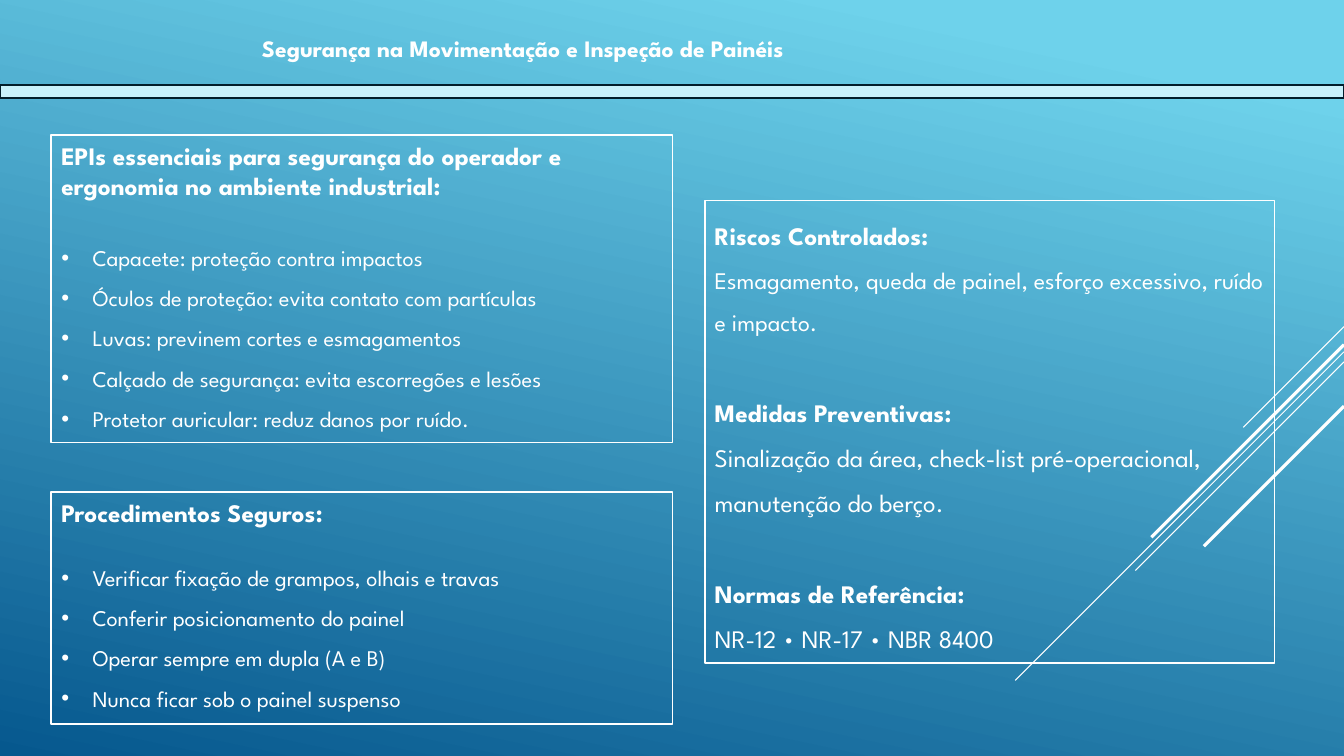
from lxml import etree
from pptx import Presentation, util as u
from pptx.dml.color import RGBColor
from pptx.enum import shapes, text
from pptx.oxml.ns import qn

WIDTH, HEIGHT = 13.33, 7.5
FONT = "League Spartan"
COLOURS = {"white": "FFFFFF", "bar": "C8F1FB", "bar_edge": "021E2B",
           "sky": "6ED2EB", "deep": "06588E"}
TITLE = "Segurança na Movimentação e Inspeção de Painéis"

# Diagonals fall at 45° from the right edge: start height, drop, line width
DIAGONALS = [(3.24, 1, 0.75), (3.49, 3.26, 0.75), (3.59, 2.07, 0.75),
             (3.42, 1.91, 2.25), (4.03, 1.39, 2.25)]

LEFT, LEFT_WIDTH = 0.51, 6.16
# Bulleted panels: top, height, gap under heading in points, heading, items
CHECKLISTS = [
    (1.34, 3.05, 21.5,
     "EPIs essenciais para segurança do operador e ergonomia no ambiente industrial:",
     ["Capacete: proteção contra impactos",
      "Óculos de proteção: evita contato com partículas",
      "Luvas: previnem cortes e esmagamentos",
      "Calçado de segurança: evita escorregões e lesões",
      "Protetor auricular: reduz danos por ruído."]),
    (4.88, 2.3, 16.8, "Procedimentos Seguros:",
     ["Verificar fixação de grampos, olhais e travas",
      "Conferir posicionamento do painel",
      "Operar sempre em dupla (A e B)",
      "Nunca ficar sob o painel suspenso"]),
]
REFERENCE_BOX = (6.99, 1.99, 5.65, 4.59)
REFERENCE_GAP = 32.3
# Heading, body, body size
REFERENCES = [
    ("Riscos Controlados:",
     "Esmagamento, queda de painel, esforço excessivo, ruído e impacto.", 17),
    ("Medidas Preventivas:",
     "Sinalização da área, check-list pré-operacional, manutenção do berço.", 18),
    ("Normas de Referência:", "NR-12 • NR-17 • NBR 8400", 18),
]


def colour(name):
    return RGBColor.from_string(COLOURS[name])


def inches(*lengths):
    return [u.Inches(length) for length in lengths]


def add_box(slide, box, edge, fill=None):
    rect = slide.shapes.add_shape(shapes.MSO_SHAPE.RECTANGLE, *inches(*box))
    rect.shadow.inherit = False
    if fill:
        rect.fill.solid()
        rect.fill.fore_color.rgb = colour(fill)
    else:
        rect.fill.background()
    rect.line.color.rgb = colour(edge)
    rect.line.width = u.Pt(1.25)
    rect.text_frame.word_wrap = True
    rect.text_frame.vertical_anchor = text.MSO_ANCHOR.TOP
    return rect


def write(frame, words, size, bold=False, spacing=1.0, after=0,
          align=text.PP_ALIGN.LEFT):
    """Fill the frame's empty first paragraph, or append a new one."""
    first = frame.paragraphs[0]
    paragraph = frame.add_paragraph() if first.runs else first
    paragraph.text = words
    paragraph.alignment = align
    paragraph.line_spacing = spacing
    paragraph.space_after = u.Pt(after)
    paragraph.font.name = FONT
    paragraph.font.size = u.Pt(size)
    paragraph.font.bold = bold
    paragraph.font.color.rgb = colour("white")
    return paragraph


def add_bullet(paragraph):
    props = paragraph._p.get_or_add_pPr()
    indent = u.Inches(0.31)
    props.set("marL", str(indent))
    props.set("indent", str(-indent))
    bullet_font = etree.Element(qn("a:buFont"), typeface="Arial")
    bullet = etree.Element(qn("a:buChar"), char="•")
    props.find(qn("a:defRPr")).addprevious(bullet_font)
    bullet_font.addnext(bullet)


def paint_background(slide):
    fill = slide.background.fill
    fill.gradient()
    fill.gradient_angle = 360 - 102
    for stop, name, position in zip(fill.gradient_stops, ("sky", "deep"), (0.1, 1)):
        stop.color.rgb = colour(name)
        stop.position = position


def add_diagonals(slide):
    for top, drop, weight in DIAGONALS:
        line = slide.shapes.add_connector(
            shapes.MSO_CONNECTOR.STRAIGHT,
            *inches(WIDTH, top, WIDTH - drop, top + drop))
        line.line.color.rgb = colour("white")
        line.line.width = u.Pt(weight)
        etree.SubElement(line._element.spPr, qn("a:effectLst"))


def add_title(slide):
    frame = slide.shapes.add_textbox(*inches(0, 0.31, 10.37, 0.34)).text_frame
    frame.word_wrap = True
    frame.vertical_anchor = text.MSO_ANCHOR.MIDDLE
    write(frame, TITLE, 16.8, bold=True, align=text.PP_ALIGN.CENTER)
    add_box(slide, (0, 0.84, WIDTH, 0.13), "bar_edge", "bar")


def add_panels(slide):
    for top, height, gap, heading, items in CHECKLISTS:
        frame = add_box(slide, (LEFT, top, LEFT_WIDTH, height), "white").text_frame
        write(frame, heading, 18, bold=True, after=gap)
        for item in items:
            add_bullet(write(frame, item, 16, spacing=1.5))

    frame = add_box(slide, REFERENCE_BOX, "white").text_frame
    for heading, body, size in REFERENCES:
        last = heading == REFERENCES[-1][0]
        write(frame, heading, 18, bold=True, spacing=1.5)
        write(frame, body, size, spacing=1.5, after=0 if last else REFERENCE_GAP)


def main():
    deck = Presentation()
    deck.slide_width, deck.slide_height = inches(WIDTH, HEIGHT)
    slide = deck.slides.add_slide(deck.slide_layouts[6])
    paint_background(slide)
    add_diagonals(slide)
    add_title(slide)
    add_panels(slide)
    deck.save("out.pptx")


if __name__ == "__main__":
    main()
